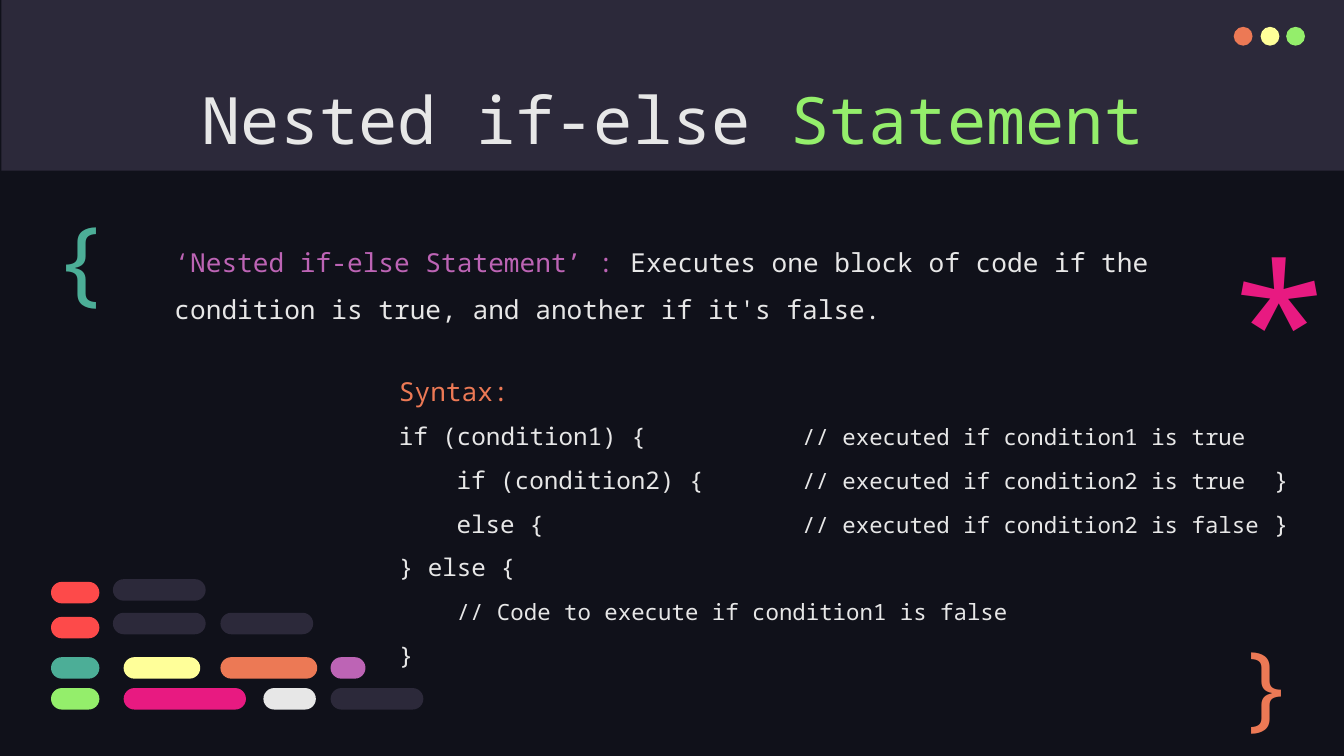
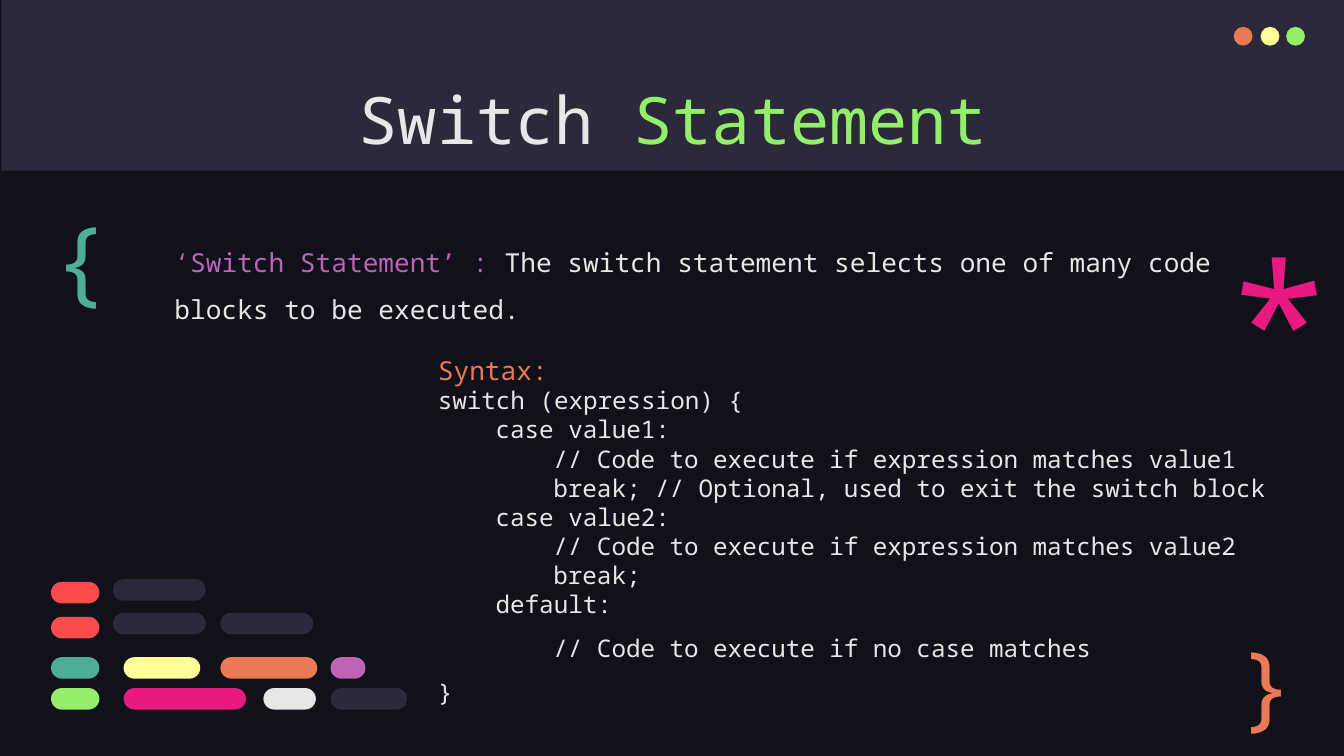
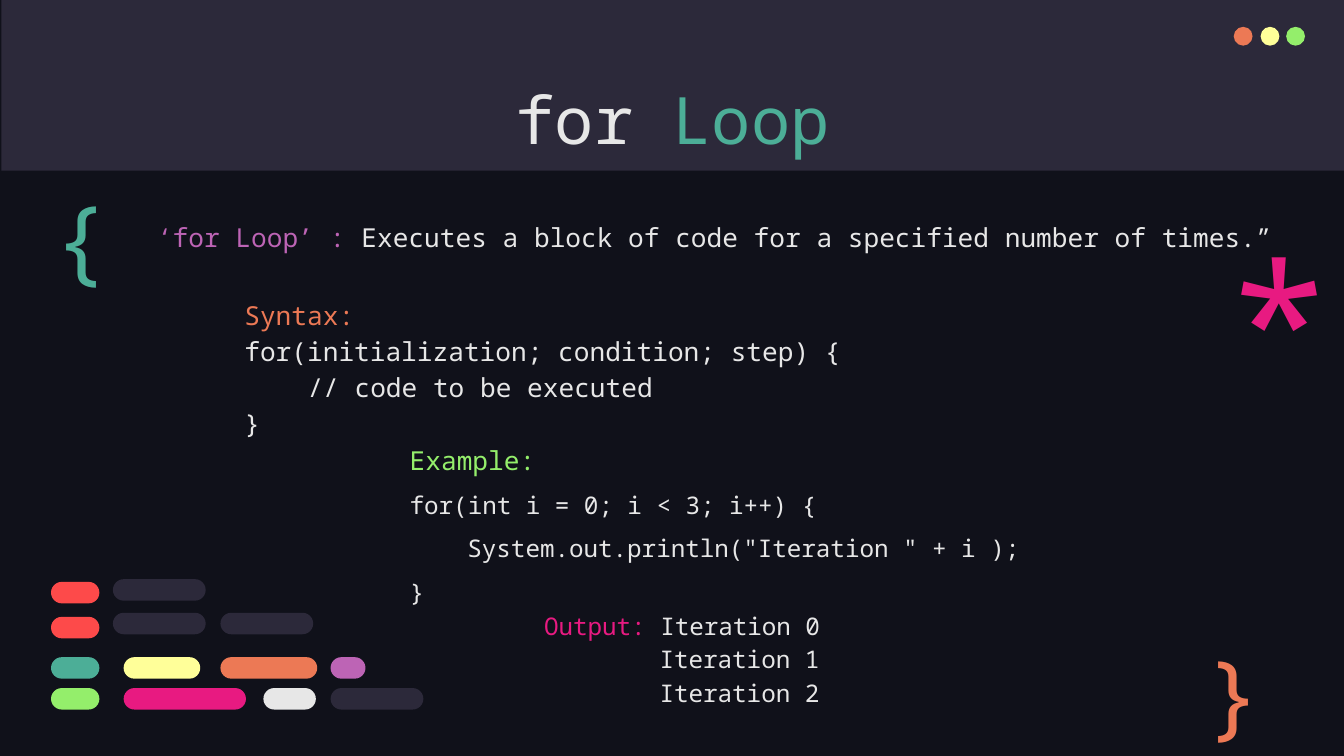
from dataclasses import dataclass
from typing import Any, NamedTuple

import pptx
import pptx.dml.color
import pptx.enum.shapes
import pptx.enum.text
import pptx.oxml.ns
import pptx.util
from lxml import etree
from pptx.util import Inches

KIND = pptx.enum.shapes.MSO_SHAPE
ALIGN = pptx.enum.text.PP_ALIGN
ANCHOR = pptx.enum.text.MSO_ANCHOR


# Theme: colours, type sizes and code indents
@dataclass(frozen=True)
class Theme:
    font: str = "Noto Sans Mono"
    back: str = "10111A"
    band: str = "2C293A"
    white: str = "E7E7E7"
    green: str = "94EE6B"
    teal: str = "4CAE97"
    orange: str = "EC7955"
    yellow: str = "FFFF99"
    pink: str = "E81A81"
    purple: str = "BD64B5"
    red: str = "FD4A4A"
    title: int = 35
    body: int = 14
    code: int = 13
    note: int = 12
    brace: int = 50
    star: int = 96
    step: float = 0.43  # four characters of code
    wide: float = 0.47  # four characters of body text


T = Theme()


class Box(NamedTuple):
    left: float
    top: float
    width: float
    height: float


class Run(NamedTuple):
    text: str
    size: int = T.code
    tint: str = T.white


class Line(NamedTuple):
    runs: list[Run]
    gap: float = 1.0
    dent: float = 0
    tabs: tuple[float, ...] = ()


class Pill(NamedTuple):
    left: float
    top: float
    width: float
    tint: str


class Page(NamedTuple):
    title: str
    accent: str
    tint: str
    term: str
    gloss: str
    intro: Box
    gap: float
    open: Box
    close: Box
    tail: float
    blocks: list[tuple[Box, float, list[Line]]]


# Drawing helpers
def put(item: Any, form: dict[str, Any]) -> None:
    for name, value in form.items():
        setattr(item, name, value)


def rgb(tint: str) -> pptx.dml.color.RGBColor:
    return pptx.dml.color.RGBColor.from_string(tint)


def place(box: Box) -> list[int]:
    return [Inches(side) for side in box]


def shape(shapes: Any, kind: Any, box: Box, tint: str) -> Any:
    item = shapes.add_shape(kind, *place(box))
    item.shadow.inherit = False
    item.fill.solid()
    item.fill.fore_color.rgb = rgb(tint)
    item.line.fill.background()
    return item


def set_tabs(para: Any, stops: tuple[float, ...]) -> None:
    tag = pptx.oxml.ns.qn
    tabs = etree.SubElement(para._p.get_or_add_pPr(), tag("a:tabLst"))
    for stop in stops:
        etree.SubElement(tabs, tag("a:tab"), pos=str(Inches(stop)), algn="l")


def write(slide: Any, box: Box, lines: list[Line], inset: float = 0.1,
          align: Any = ALIGN.LEFT, anchor: Any = ANCHOR.TOP) -> None:
    frame = slide.shapes.add_textbox(*place(box)).text_frame
    put(frame, {
        "word_wrap": True, "vertical_anchor": anchor,
        "margin_left": Inches(0.1), "margin_right": Inches(0.1),
        "margin_top": Inches(inset), "margin_bottom": Inches(inset),
    })
    for index, line in enumerate(lines):
        para = frame.add_paragraph() if index else frame.paragraphs[0]
        put(para, {"alignment": align, "line_spacing": line.gap})
        if line.dent:
            para._p.get_or_add_pPr().set("indent", str(Inches(line.dent)))
        if line.tabs:
            set_tabs(para, line.tabs)
        for part in line.runs:
            run = para.add_run()
            run.text = part.text
            put(run.font, {"name": T.font, "size": pptx.util.Pt(part.size)})
            run.font.color.rgb = rgb(part.tint)


def head(text: str, tint: str = T.orange) -> Line:
    return Line([Run(text, T.body, tint)], 1.15)


def code(text: str, level: int = 0, gap: float = 1.0) -> Line:
    return Line([Run(text)], gap, level * T.step)


def noted(text: str, note: str, end: str = "", level: int = 0) -> Line:
    start = "\t" * level + (text + "\t" if text else "")
    runs = [Run(start), Run(note, T.note)]
    if end:
        runs.append(Run("\t" + end))
    return Line(runs, 1.5, tabs=(T.step, 3.0, 6.51))


# Shared parts
DOTS = [(9.18, T.orange), (9.38, T.yellow), (9.57, T.green)]
PILLS = [
    Pill(0.38, 4.33, 0.36, T.red), Pill(0.38, 4.59, 0.36, T.red),
    Pill(0.38, 4.89, 0.36, T.teal), Pill(0.92, 4.89, 0.57, T.yellow),
    Pill(1.64, 4.89, 0.72, T.orange), Pill(2.46, 4.89, 0.26, T.purple),
    Pill(0.38, 5.12, 0.36, T.green), Pill(0.92, 5.12, 0.91, T.pink),
    Pill(1.96, 5.12, 0.39, T.white), Pill(0.84, 4.56, 0.69, T.band),
    Pill(0.84, 4.31, 0.69, T.band), Pill(1.64, 4.56, 0.69, T.band),
]


def draw_top(slide: Any, page: Page) -> None:
    shape(slide.shapes, KIND.RECTANGLE, Box(0.01, 0, 10, 1.27), T.band)
    dots = slide.shapes.add_group_shape().shapes
    for left, tint in DOTS:
        shape(dots, KIND.OVAL, Box(left, 0.2, 0.14, 0.14), tint)
    runs = [Run(page.title, T.title), Run(page.accent, T.title, page.tint)]
    write(slide, Box(0.79, 0.49, 8.43, 0.63), [Line(runs)], align=ALIGN.CENTER)


def draw_pills(slide: Any, tail: float) -> None:
    group = slide.shapes.add_group_shape().shapes
    for left, top, width, tint in [*PILLS, Pill(2.46, 5.12, tail, T.band)]:
        bar = shape(group, KIND.ROUNDED_RECTANGLE,
                    Box(left, top, width, 0.16), tint)
        bar.adjustments[0] = 0.5


def draw_signs(slide: Any, page: Page) -> None:
    signs = [
        ("*", Box(9.02, 1.48, 0.57, 0.87), T.star, T.pink, ANCHOR.TOP),
        ("{", page.open, T.brace, T.teal, ANCHOR.TOP),
        ("}", page.close, T.brace, T.orange, ANCHOR.MIDDLE),
    ]
    for text, box, size, tint, anchor in signs:
        write(slide, box, [Line([Run(text, size, tint)])], anchor=anchor)


def draw(deck: Any, page: Page) -> None:
    slide = deck.slides.add_slide(deck.slide_layouts[6])
    draw_top(slide, page)
    draw_pills(slide, page.tail)
    draw_signs(slide, page)
    runs = [Run(page.term, T.body, T.purple), Run(page.gloss, T.body)]
    write(slide, page.intro, [Line(runs, page.gap)], 0.05)
    for box, inset, lines in page.blocks:
        write(slide, box, lines, inset)


# Slide content
OPEN = Box(0.3, 1.4, 0.77, 0.95)
CLOSE = Box(9.12, 4.66, 0.57, 0.83)

NESTED = [
    head("Syntax:"),
    noted("if (condition1) {", "// executed if condition1 is true"),
    noted("if (condition2) {", "// executed if condition2 is true", "}", 1),
    noted("else {", "// executed if condition2 is false", "}", 1),
    code("} else {", gap=1.5),
    noted("", "// Code to execute if condition1 is false", level=1),
    code("}", gap=1.5),
]

SWITCH = [
    head("Syntax:"),
    code("switch (expression) {"),
    code("case value1:", 1),
    code("// Code to execute if expression matches value1", 2),
    code("break; // Optional, used to exit the switch block", 2),
    code("case value2:", 1),
    code("// Code to execute if expression matches value2", 2),
    code("break;", 2),
    code("default:", 1),
    code("// Code to execute if no case matches", 2, 1.5),
    code("}", gap=1.5),
]

LOOP = [
    head("Syntax:"),
    head("for(initialization; condition; step) {", T.white),
    Line([Run("// code to be executed", T.body)], 1.15, T.wide),
    head("}", T.white),
]

SAMPLE = [
    head("Example:", T.green),
    code("for(int i = 0; i < 3; i++) {", gap=1.5),
    code("System.out.println(\"Iteration \" + i );", 1, 1.5),
    code("}", gap=1.5),
    Line([Run("Output: ", tint=T.pink), Run("Iteration 0")], 1.15, 1.0),
    *[Line([Run(f"Iteration {turn}")], 1.15, 1 + 2 * T.step)
      for turn in (1, 2)],
]

PAGES = [
    Page("Nested if-else ", "Statement", T.green,
         "‘Nested if-else Statement’ : ",
         "Executes one block of code if the condition is true, "
         "and another if it's false.",
         Box(1.2, 1.67, 8.14, 1.12), 1.5, OPEN, CLOSE, 0.69,
         [(Box(2.87, 2.66, 7.17, 2.55), 0.1, NESTED)]),
    Page("Switch ", "Statement", T.green,
         "‘Switch Statement’ : ",
         "The switch statement selects one of many code blocks "
         "to be executed.",
         Box(1.2, 1.67, 8.14, 0.77), 1.5, OPEN, CLOSE, 0.57,
         [(Box(3.16, 2.5, 6.71, 2.55), 0.1, SWITCH)]),
    Page("for ", "Loop", T.teal,
         "‘for Loop’ : ",
         "Executes a block of code for a specified number of times.”",
         Box(1.07, 1.6, 8.72, 0.34), 1.0, Box(0.3, 1.24, 0.77, 0.98),
         Box(8.87, 4.73, 0.57, 0.83), 0.69,
         [(Box(1.72, 2.09, 8.14, 0.86), 0.1, LOOP),
          (Box(2.95, 3.22, 7.05, 2.1), 0.05, SAMPLE)]),
]


def main() -> None:
    deck = pptx.Presentation()
    wide = Inches(10)
    put(deck, {"slide_width": wide, "slide_height": wide * 9 // 16})
    fill = deck.slide_master.background.fill
    fill.solid()
    fill.fore_color.rgb = rgb(T.back)
    for page in PAGES:
        draw(deck, page)
    deck.save("out.pptx")


if __name__ == "__main__":
    main()
